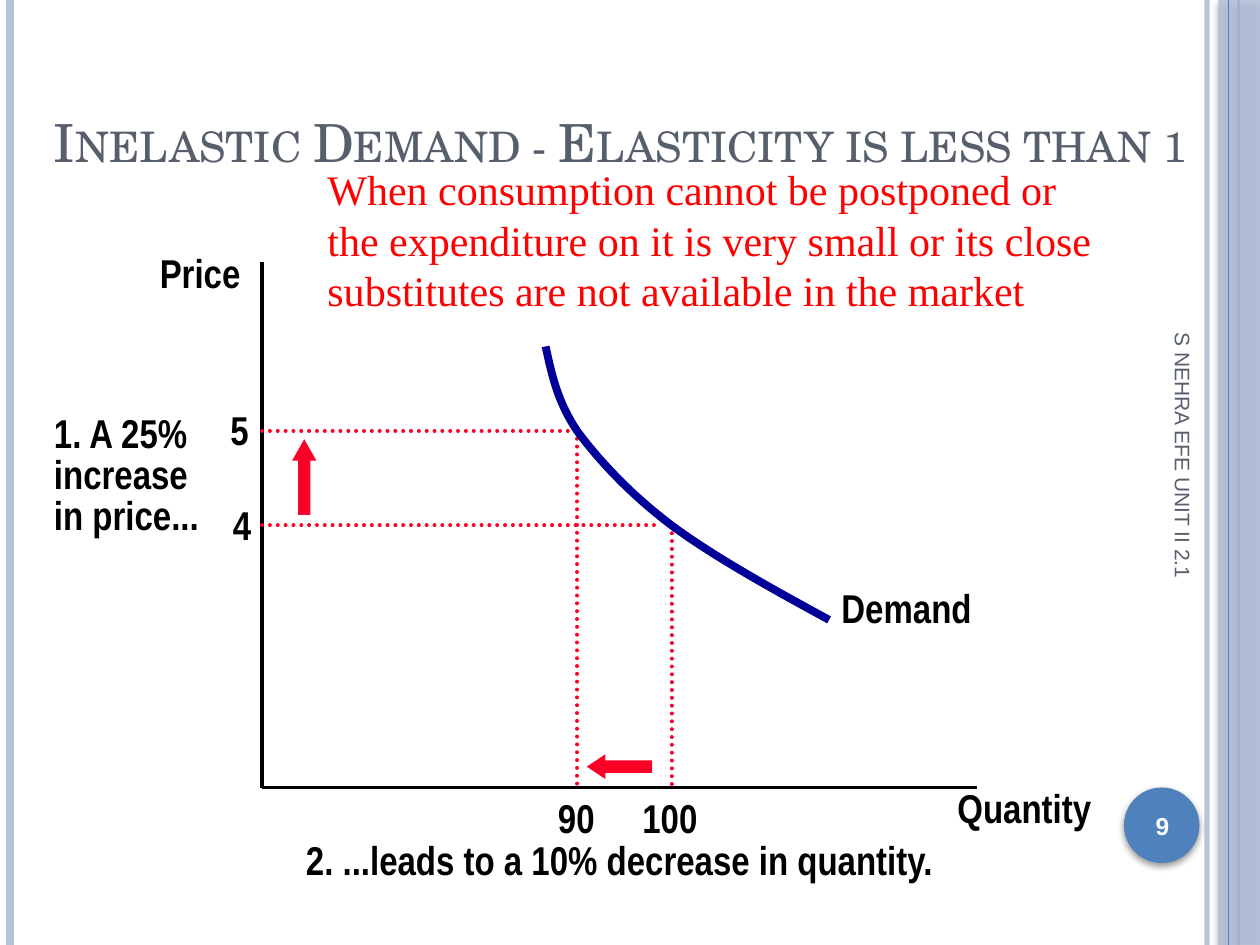
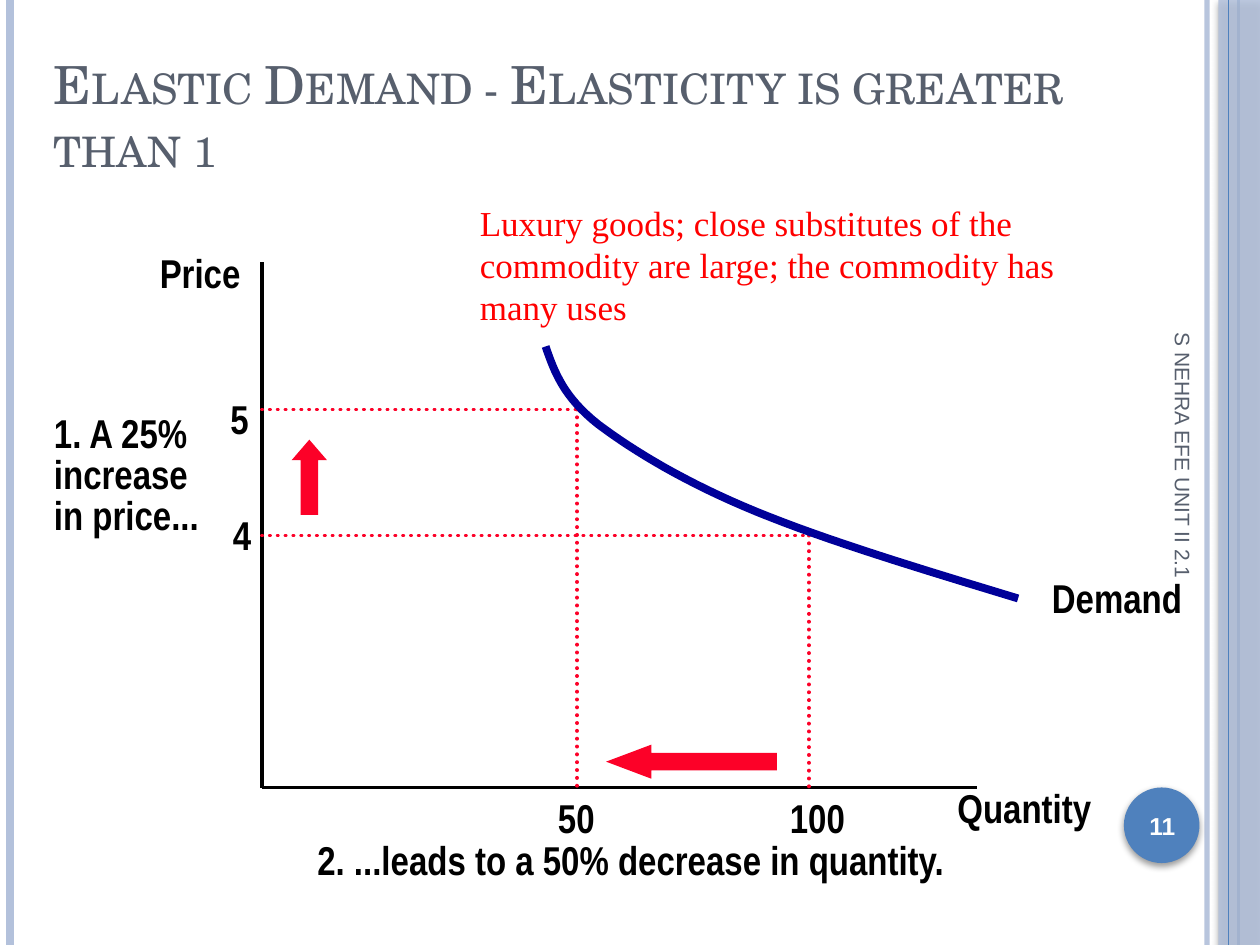
from lxml import etree
from pptx import Presentation
from pptx.dml.color import RGBColor
from pptx.enum.dml import MSO_LINE
from pptx.enum.shapes import MSO_CONNECTOR, MSO_SHAPE
from pptx.enum.text import MSO_ANCHOR, PP_ALIGN
from pptx.oxml.ns import qn
from pptx.util import Inches, Pt

STRAIGHT = MSO_CONNECTOR.STRAIGHT
DOTTED = MSO_LINE.ROUND_DOT
RECTANGLE, OVAL = MSO_SHAPE.RECTANGLE, MSO_SHAPE.OVAL
UP_ARROW, LEFT_ARROW = MSO_SHAPE.UP_ARROW, MSO_SHAPE.LEFT_ARROW
TOP, MIDDLE = MSO_ANCHOR.TOP, MSO_ANCHOR.MIDDLE
LEFT, CENTER = PP_ALIGN.LEFT, PP_ALIGN.CENTER

BLACK, WHITE, SLATE = "000000", "FFFFFF", "575F6D"
PALE_BLUE, BLUE, NAVY = "B3C1DB", "4F81BD", "000099"
CRIMSON, RED = "FC0128", "FF0000"

WIDTH, HEIGHT = 10, 7.5
ORIGIN_X, ORIGIN_Y = 2.08, 6.25
AXIS_TOP, AXIS_RIGHT = 2.08, 7.75
LABEL_HEIGHT = 0.48
CURVE_STEPS = 16

FOOTER = "S NEHRA EFE UNIT II 2.1"
CAUSE = ["1. A 25%", "increase", "in price..."]
AXIS_LABELS = [("Quantity", 7.5, 6.17, 1.4), ("Price", 1.17, 1.92, 0.9)]

SLIDES = [
    {
        "title": "Inelastic Demand - Elasticity is less than 1",
        "title_box": (0.33, 0.5, 9.25, 1.25),
        "number": "9",
        "note": "When consumption cannot be postponed or the expenditure on it is very small "
                "or its close substitutes are not available in the market",
        "note_box": (2.5, 1.25, 6.39, 1.3),
        "note_size": 24,
        "labels": [("4", 1.75, 3.92, 0.4), ("5", 1.73, 3.17, 0.4),
                   ("90", 4.33, 6.25, 0.6), ("100", 5, 6.25, 0.75),
                   ("Demand", 6.58, 4.58, 1.4),
                   ("2. ...leads to a 10% decrease in quantity.", 2.33, 6.58, 5.4)],
        "guides": [(5.25, 5.33, 4.17), (4.58, 4.58, 3.42)],
        "curve": [(4.33, 2.75), (4.38, 2.97), (4.42, 3.18), (4.58, 3.42), (4.75, 3.65),
                  (5, 3.92), (5.33, 4.17), (5.67, 4.42), (6.12, 4.67), (6.58, 4.92)],
        "arrows": [(UP_ARROW, (2.33, 3.5, 0.17, 0.58), 0.88),
                   (LEFT_ARROW, (4.67, 6, 0.5, 0.17), 0.75)],
    },
    {
        "title": "Elastic Demand - Elasticity is greater than 1",
        "title_box": (0.33, 0.25, 9.17, 1.32),
        "number": "11",
        "note": "Luxury goods; close substitutes of the commodity are large; "
                "the commodity has many uses",
        "note_box": (3.71, 1.55, 5, 1.1),
        "note_size": 20,
        "labels": [("4", 1.75, 4, 0.4), ("5", 1.73, 3.08, 0.4),
                   ("50", 4.33, 6.25, 0.6), ("100", 6.17, 6.25, 0.75),
                   ("Demand", 8.25, 4.5, 1.4),
                   ("2. ...leads to a 50% decrease in quantity.", 2.42, 6.58, 5.4)],
        "guides": [(6.42, 6.42, 4.25), (4.67, 4.58, 3.25)],
        "curve": [(4.33, 2.75), (4.4, 2.95), (4.47, 3.15), (4.75, 3.37), (5.03, 3.58),
                  (5.44, 3.83), (6, 4.06), (6.56, 4.29), (7.32, 4.52), (8.08, 4.75)],
        "arrows": [(UP_ARROW, (2.33, 3.5, 0.25, 0.58), 0.58),
                   (LEFT_ARROW, (4.83, 5.92, 1.33, 0.25), 1.33)],
    },
]


def color(value):
    return RGBColor.from_string(value)


def box(bounds):
    return [Inches(length) for length in bounds]


def set_alpha(element, percent):
    srgb = next(element.iter(qn("a:srgbClr")))
    etree.SubElement(srgb, qn("a:alpha")).set("val", str(percent * 1000))


def add_line(slide, start, end, line_color, width, dash=None):
    line = slide.shapes.add_connector(STRAIGHT, *box(start + end))
    line.line.color.rgb = color(line_color)
    line.line.width = Pt(width)
    if dash:
        line.line.dash_style = dash
        line._element.spPr.find(qn("a:ln")).set("cap", "rnd")
    etree.SubElement(line._element.spPr, qn("a:effectLst"))
    return line


def add_filled(slide, kind, bounds, fill, outline=None):
    shape = slide.shapes.add_shape(kind, *box(bounds))
    shape.shadow.inherit = False
    shape.fill.solid()
    shape.fill.fore_color.rgb = color(fill)
    if outline:
        shape.line.color.rgb = color(outline)
        shape.line.width = Pt(1)
        etree.SubElement(shape._element.spPr.find(qn("a:ln")), qn("a:miter"), lim="800000")
    else:
        shape.line.fill.background()
    return shape


def add_shadow(shape):
    effects = shape._element.spPr.find(qn("a:effectLst"))
    shadow = etree.SubElement(effects, qn("a:outerShdw"), blurRad=str(Pt(4)),
                              dist=str(Pt(2)), dir="5400000", rotWithShape="0")
    etree.SubElement(shadow, qn("a:srgbClr")).set("val", BLACK)
    set_alpha(shadow, 40)


def add_text(slide, lines, bounds, font_name, size, font_color, bold=False,
             anchor=TOP, align=LEFT, spacing=None):
    text_box = slide.shapes.add_textbox(*box(bounds))
    frame = text_box.text_frame
    frame.word_wrap = True
    frame.vertical_anchor = anchor
    frame.text = "\n".join(lines)
    for paragraph in frame.paragraphs:
        paragraph.alignment = align
        if spacing:
            paragraph.line_spacing = spacing
        paragraph.font.name = font_name
        paragraph.font.size = Pt(size)
        paragraph.font.bold = bold
        paragraph.font.color.rgb = color(font_color)
    return text_box


def add_label(slide, lines, bounds, spacing=None):
    add_text(slide, lines, bounds, "Arial Narrow", 23, BLACK, bold=True, spacing=spacing)


def add_frame(slide, content):
    edge = add_line(slide, (9.58, 0), (9.58, HEIGHT), PALE_BLUE, 3)
    set_alpha(edge._element.spPr, 93)
    add_line(slide, (0.08, 0), (0.08, HEIGHT), PALE_BLUE, 4.5)
    add_line(slide, (9.83, 0), (9.83, HEIGHT), BLUE, 1.5)
    band = add_filled(slide, RECTANGLE, (9.67, 0, 0.33, HEIGHT), PALE_BLUE)
    set_alpha(band._element.spPr, 87)
    add_shadow(band)
    add_line(slide, (9.75, 0), (9.75, HEIGHT), BLUE, 0.75)
    add_shadow(add_filled(slide, OVAL, (8.92, 6.25, 0.6, 0.6), BLUE))

    title = add_text(slide, [content["title"]], content["title_box"], "TeX Gyre Schola", 30,
                     SLATE, anchor=MIDDLE)
    run = title.text_frame.paragraphs[0].runs[0]
    run._r.get_or_add_rPr().set("cap", "small")
    add_text(slide, [content["number"]], (8.89, 6.27, 0.67, 0.57), "Arial", 14, WHITE,
             bold=True, anchor=MIDDLE, align=CENTER)
    footer = add_text(slide, [FOOTER], (7.64, 4.09, 3.5, 0.4), "Arial", 12, SLATE,
                      anchor=MIDDLE)
    footer.rotation = 90


def curve_points(controls):
    points = [controls[0]]
    for first in range(0, len(controls) - 1, 3):
        segment = controls[first:first + 4]
        for step in range(1, CURVE_STEPS + 1):
            t = step / CURVE_STEPS
            weights = ((1 - t) ** 3, 3 * t * (1 - t) ** 2, 3 * t * t * (1 - t), t ** 3)
            points.append(tuple(sum(weight * point[axis]
                                    for weight, point in zip(weights, segment))
                                for axis in (0, 1)))
    return points


def add_demand_curve(slide, controls):
    start, *rest = [tuple(box(point)) for point in curve_points(controls)]
    builder = slide.shapes.build_freeform(*start)
    builder.add_line_segments(rest, close=False)
    curve = builder.convert_to_shape()
    curve.shadow.inherit = False
    curve.fill.background()
    curve.line.color.rgb = color(NAVY)
    curve.line.width = Pt(4.5)


def add_diagram(slide, content):
    add_line(slide, (ORIGIN_X, AXIS_TOP), (ORIGIN_X, ORIGIN_Y), BLACK, 2.25)
    add_line(slide, (ORIGIN_X, ORIGIN_Y), (AXIS_RIGHT, ORIGIN_Y), BLACK, 2.25)
    for price_end, quantity, price in content["guides"]:
        add_line(slide, (ORIGIN_X, price), (price_end, price), CRIMSON, 2.25, DOTTED)
        add_line(slide, (quantity, price), (quantity, ORIGIN_Y), CRIMSON, 2.25, DOTTED)
    add_demand_curve(slide, content["curve"])
    for kind, bounds, head in content["arrows"]:
        arrow = add_filled(slide, kind, bounds, CRIMSON, CRIMSON)
        arrow.adjustments[0] = 0.5
        arrow.adjustments[1] = head

    for text, left, top, width in AXIS_LABELS + content["labels"]:
        add_label(slide, [text], (left, top, width, LABEL_HEIGHT))
    add_label(slide, CAUSE, (0.33, 3.25, 1.45, 1.13), spacing=0.85)
    add_text(slide, [content["note"]], content["note_box"], "Times New Roman",
             content["note_size"], RED)


def main():
    presentation = Presentation()
    presentation.slide_width = Inches(WIDTH)
    presentation.slide_height = Inches(HEIGHT)
    for content in SLIDES:
        slide = presentation.slides.add_slide(presentation.slide_layouts[6])
        add_frame(slide, content)
        add_diagram(slide, content)
    presentation.save("out.pptx")


if __name__ == "__main__":
    main()
